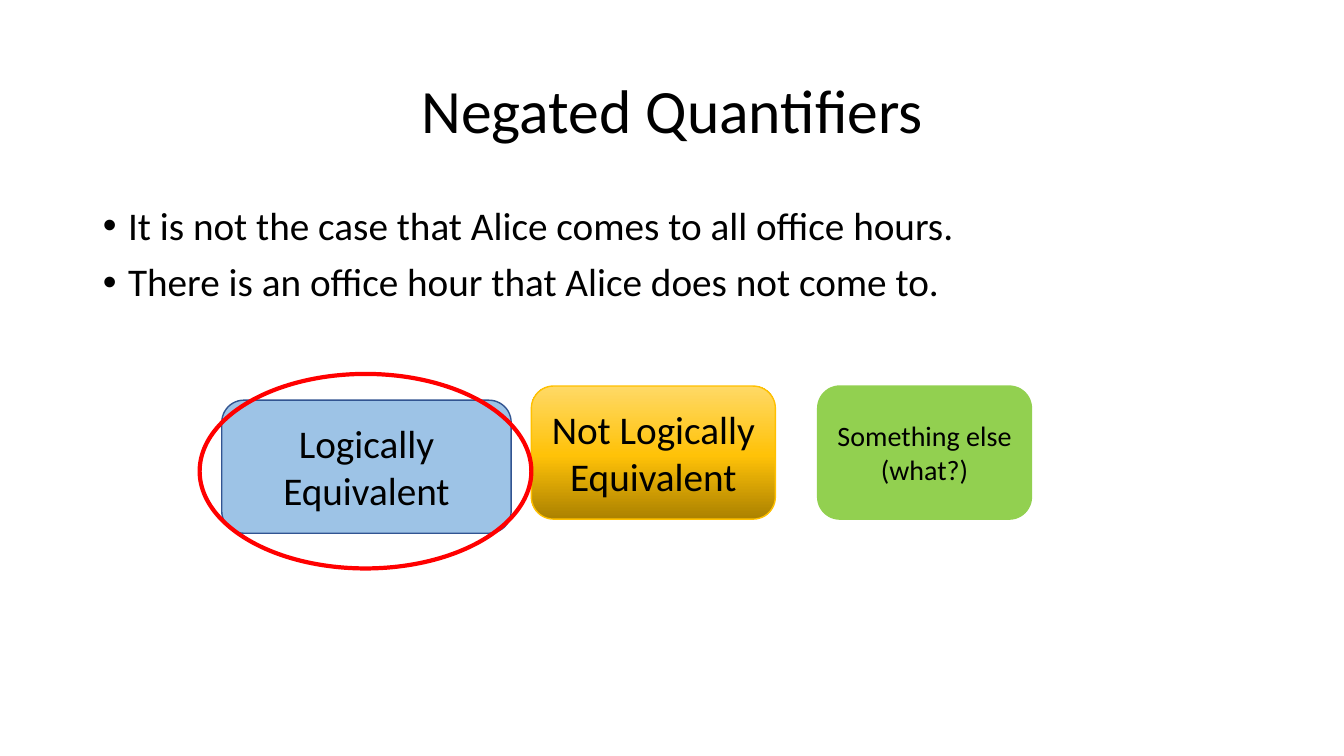
from copy import deepcopy

from lxml import etree
from pptx import Presentation
from pptx import util as u
from pptx.dml.color import RGBColor
from pptx.enum import shapes, text
from pptx.oxml.ns import qn


def color(value):
    return RGBColor.from_string(value)


def write(p, content, size=28, font="Calibri", ink="000000", align=None,
          spacing=None, before=None):
    p.text = content
    p.alignment = align
    if spacing is not None:
        p.line_spacing = spacing
    if before is not None:
        p.space_before = u.Pt(before)
    for r in p.runs:
        r.font.name = font
        r.font.size = u.Pt(size)
        r.font.color.rgb = color(ink)


class Deck:
    """Holds the style and the current slide."""

    center = text.PP_ALIGN.CENTER
    middle = text.MSO_ANCHOR.MIDDLE
    indent = u.Inches(0.25)

    def __init__(self, width, height):
        self.prs = Presentation()
        self.prs.slide_width = u.Inches(width)
        self.prs.slide_height = u.Inches(height)
        self.s = self.prs.slides.add_slide(self.prs.slide_layouts[1])

    def place(self, sp, left, top, width, height):
        sp.left, sp.top = u.Inches(left), u.Inches(top)
        sp.width, sp.height = u.Inches(width), u.Inches(height)
        sp.text_frame.auto_size = text.MSO_AUTO_SIZE.NONE
        return sp.text_frame

    def title(self, content, *box):
        tf = self.place(self.s.shapes.title, *box)
        tf.vertical_anchor = self.middle
        write(tf.paragraphs[0], content, size=44, align=self.center, spacing=0.9)

    def bullets(self, items, *box):
        tf = self.place(self.s.placeholders[1], *box)
        for i, item in enumerate(items):
            p = tf.add_paragraph() if i else tf.paragraphs[0]
            write(p, item, spacing=0.9, before=10)
            pPr = p._p.get_or_add_pPr()
            pPr.set("marL", str(self.indent))
            pPr.set("indent", str(-self.indent))
            etree.SubElement(pPr, qn("a:buFont")).set("typeface", "Arial")
            etree.SubElement(pPr, qn("a:buChar")).set("char", "•")

    def shape(self, kind, left, top, width, height, line, weight=1, fill=None):
        sp = self.s.shapes.add_shape(kind, *map(u.Inches, (left, top, width, height)))
        sp.shadow.inherit = False
        sp.line.color.rgb = color(line)
        sp.line.width = u.Pt(weight)
        if fill is None:
            sp.fill.background()
        elif isinstance(fill, str):
            sp.fill.solid()
            sp.fill.fore_color.rgb = color(fill)
        else:
            self.gradient(sp, fill)
        return sp

    def gradient(self, sp, stops):
        """Fill from bottom to top with (position, colour) stops."""
        sp.fill.gradient()
        sp.fill.gradient_angle = 90
        gs_list = sp._element.spPr.find(".//" + qn("a:gsLst"))
        while len(gs_list) < len(stops):
            gs_list.append(deepcopy(gs_list[0]))
        for stop, (position, value) in zip(sp.fill.gradient_stops, stops):
            stop.position = position
            stop.color.rgb = color(value)

    def answer(self, content, *box, size=28, **style):
        sp = self.shape(shapes.MSO_SHAPE.ROUNDED_RECTANGLE, *box, **style)
        tf = sp.text_frame
        tf.word_wrap = True
        tf.vertical_anchor = self.middle
        write(tf.paragraphs[0], content, size=size, align=self.center)

    def ring(self, *box, **style):
        self.shape(shapes.MSO_SHAPE.OVAL, *box, **style)


def main():
    deck = Deck(13.33, 7.5)

    # Title and statements
    deck.title("Negated Quantifiers", 0.92, 0.4, 11.5, 1.45)
    deck.bullets(["It is not the case that Alice comes to all office hours.",
                  "There is an office hour that Alice does not come to."],
                 0.92, 2, 11.5, 4.76)

    # Answer choices
    gold = [(0, "AB8100"), (0.48, "FFC208"), (1, "FFD966")]
    deck.answer("Logically\nEquivalent", 2.2, 3.97, 2.87, 1.32,
                fill="9DC3E6", line="325491")
    deck.answer("Not Logically Equivalent", 5.27, 3.83, 2.42, 1.32,
                fill=gold, line="FFC000")
    deck.answer("Something else (what?)", 8.11, 3.83, 2.12, 1.32,
                size=20, fill="92D050", line="92D050")

    # Ring around the right answer
    deck.ring(1.98, 3.71, 3.29, 1.93, line="FF0000", weight=3)

    deck.prs.save("out.pptx")


if __name__ == "__main__":
    main()
